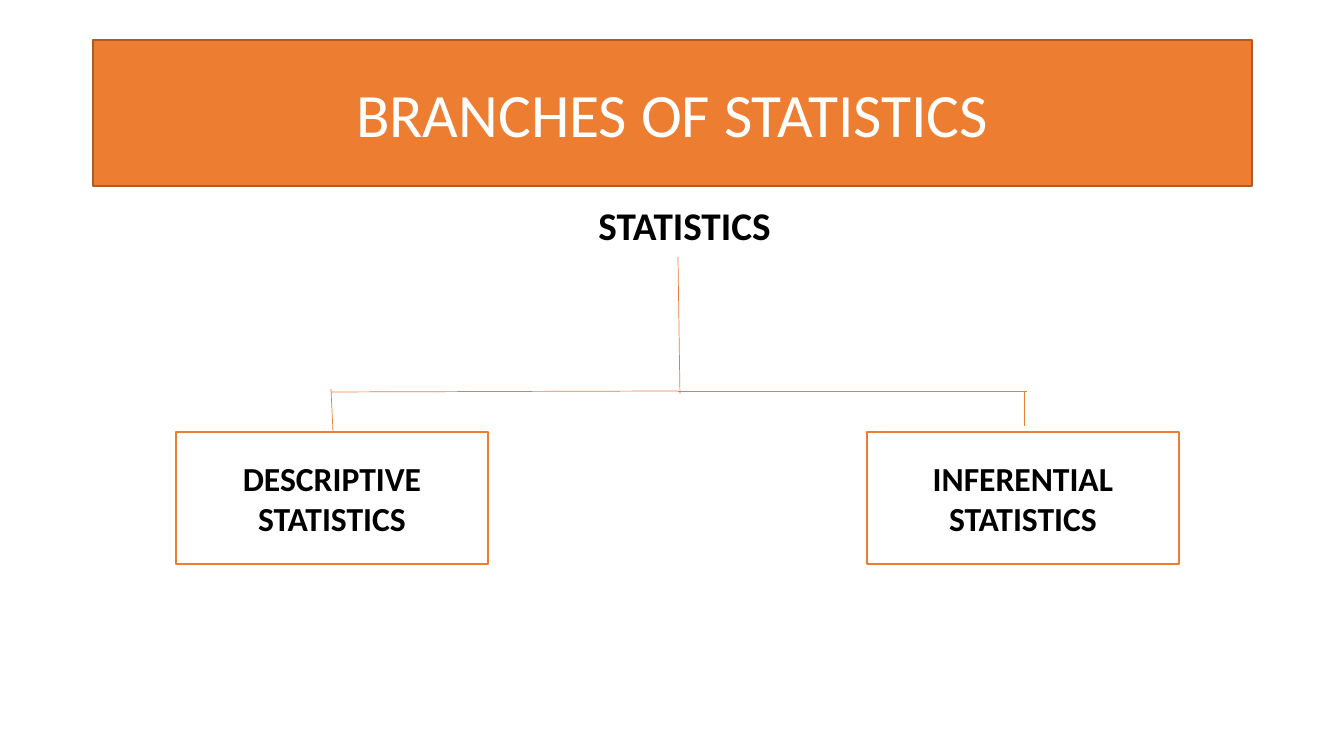
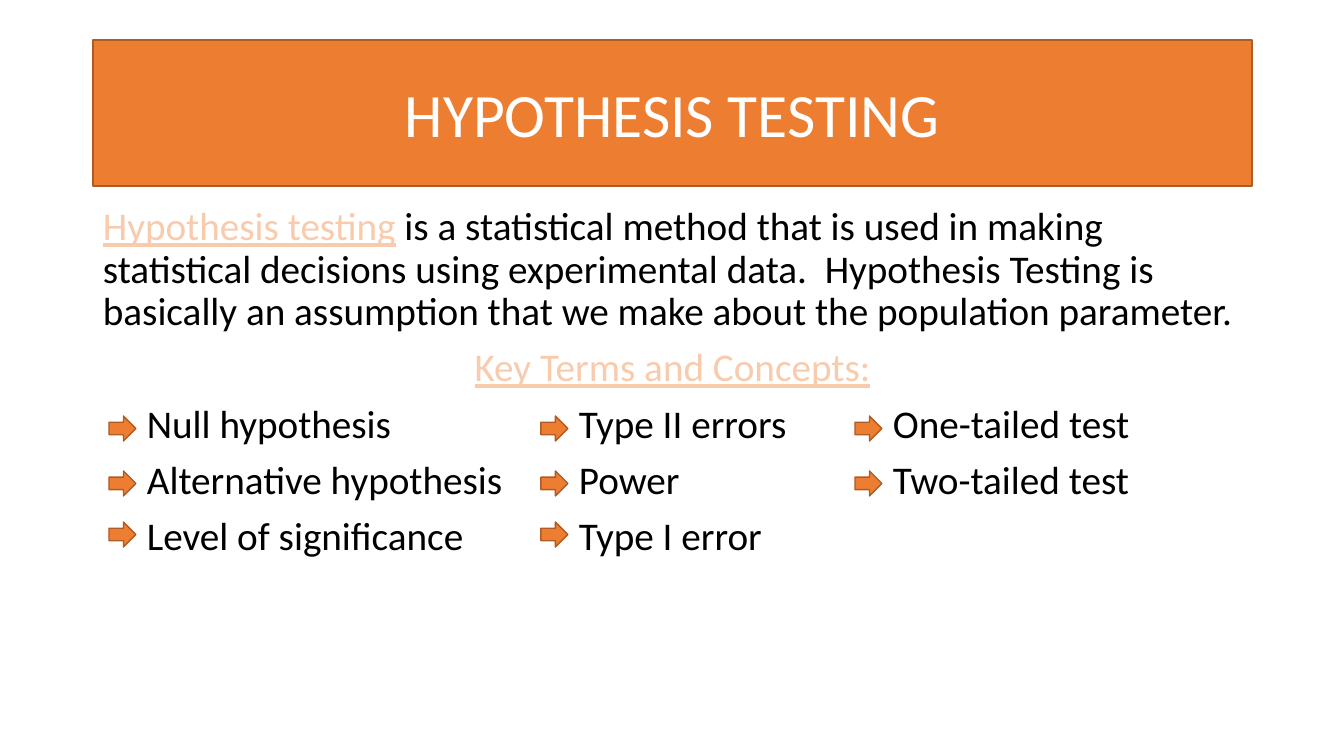
"""Build two slides on the branches of statistics and hypothesis testing."""
import pptx
import pptx.dml.color
import pptx.enum.shapes
import pptx.enum.text
import pptx.oxml.ns
import pptx.util
from lxml import etree

RGB = pptx.dml.color.RGBColor
ORANGE = RGB(0xED, 0x7D, 0x31)
RUST = RGB(0xAF, 0x5C, 0x24)
PEACH = RGB(0xF8, 0xCB, 0xAD)
BLACK = RGB(0, 0, 0)
WHITE = RGB(0xFF, 0xFF, 0xFF)
FONT = "Calibri"
SHAPE = pptx.enum.shapes.MSO_SHAPE
ALIGN = pptx.enum.text.PP_ALIGN
ANCHOR = pptx.enum.text.MSO_ANCHOR
qn = pptx.oxml.ns.qn

TITLE_BOX = (93, 40, 1159, 146)
BODY_BOX = (93, 202, 1159, 480)
ROOT_BOX = (105, 202, 1159, 50)
ROOT = "STATISTICS"
BRANCHES = [("DESCRIPTIVE STATISTICS", 176), ("INFERENTIAL STATISTICS", 867)]
BRANCH_TOP, BRANCH_SIZE = 432, (312, 132)
TREE_LINES = [
    (678, 257, 680, 394),
    (678, 391, 331, 392),
    (678, 391, 1027, 391),
    (1024, 391, 1024, 426),
    (331, 389, 333, 432),
]

INTRO = [
    ("Hypothesis testing", True),
    (" is a statistical method that is used in making statistical decisions "
     "using experimental data.  Hypothesis Testing is basically an assumption "
     "that we make about the population parameter.", False),
]
KEY_HEADING = "Key Terms and Concepts:"
TERM_ROWS = [
    ("Null hypothesis", "Type II errors", "One-tailed test"),
    ("Alternative hypothesis", "Power", "Two-tailed test"),
    ("Level of significance", "Type I error"),
]
TERM_TABS = (44, 476, 790)
ARROW_LEFTS = (109, 541, 855)
ARROW_TOPS = (416, 471, 522)
ARROW_SIZE = (27, 25)


def px(n):
    return pptx.util.Emu(round(n * 914400 / 100.8))


def style_run(r, size, color=BLACK, bold=False, underline=False):
    r.font.name, r.font.size = FONT, pptx.util.Pt(size)
    r.font.color.rgb = color
    r.font.bold, r.font.underline = bold, underline


def add_box(s, kind, box, fill, line, text="", size=24, color=BLACK, bold=False):
    sp = s.shapes.add_shape(kind, *map(px, box))
    sp.shadow.inherit = False
    sp.fill.solid()
    sp.fill.fore_color.rgb = fill
    sp.line.color.rgb = line
    sp.line.width = pptx.util.Pt(1)
    if text:
        tf = sp.text_frame
        tf.word_wrap = True
        tf.vertical_anchor = ANCHOR.MIDDLE
        tf.text = text
        p = tf.paragraphs[0]
        p.alignment = ALIGN.CENTER
        style_run(p.runs[0], size, color, bold)


def add_line(s, ends):
    cn = s.shapes.add_connector(
        pptx.enum.shapes.MSO_CONNECTOR.STRAIGHT, *map(px, ends))
    cn.line.color.rgb = ORANGE
    cn.line.width = pptx.util.Pt(0.5)
    etree.SubElement(cn._element.spPr, qn("a:effectLst"))


def add_body(s, box, paragraphs):
    tf = s.shapes.add_textbox(*map(px, box)).text_frame
    tf.word_wrap = True
    for i, (runs, align, bold) in enumerate(paragraphs):
        p = tf.add_paragraph() if i else tf.paragraphs[0]
        p.alignment = align
        p.line_spacing = 0.9
        p.space_before = pptx.util.Pt(10)
        for text, accent in runs:
            r = p.add_run()
            r.text = text
            style_run(r, 28, PEACH if accent else BLACK, bold, accent)
    return tf


def set_tabs(p, stops):
    tabs = etree.SubElement(p._p.get_or_add_pPr(), qn("a:tabLst"))
    for stop in stops:
        etree.SubElement(tabs, qn("a:tab"), pos=str(px(stop)), algn="l")


def add_titled_slide(prs, title):
    s = prs.slides.add_slide(prs.slide_layouts[6])
    add_box(s, SHAPE.RECTANGLE, TITLE_BOX, ORANGE, RUST, title, 44, WHITE)
    return s


def build_branches(prs):
    s = add_titled_slide(prs, "BRANCHES OF STATISTICS")
    add_body(s, ROOT_BOX, [([(ROOT, False)], ALIGN.CENTER, True)])
    for ends in TREE_LINES:
        add_line(s, ends)
    for text, left in BRANCHES:
        add_box(s, SHAPE.RECTANGLE, (left, BRANCH_TOP, *BRANCH_SIZE),
                WHITE, ORANGE, text, bold=True)


def build_hypothesis(prs):
    s = add_titled_slide(prs, "HYPOTHESIS TESTING")
    paragraphs = [(INTRO, ALIGN.LEFT, False),
                  ([(KEY_HEADING, True)], ALIGN.CENTER, False)]
    for row in TERM_ROWS:
        text = "".join("\t" + term for term in row)
        paragraphs.append(([(text, False)], ALIGN.LEFT, False))
    tf = add_body(s, BODY_BOX, paragraphs)
    for p in tf.paragraphs[-len(TERM_ROWS):]:
        set_tabs(p, TERM_TABS)
    for row, top in zip(TERM_ROWS, ARROW_TOPS):
        for _, left in zip(row, ARROW_LEFTS):
            add_box(s, SHAPE.RIGHT_ARROW, (left, top, *ARROW_SIZE), ORANGE, RUST)


def main():
    prs = pptx.Presentation()
    prs.slide_width, prs.slide_height = px(1344), px(756)
    build_branches(prs)
    build_hypothesis(prs)
    prs.save("out.pptx")


if __name__ == "__main__":
    main()
